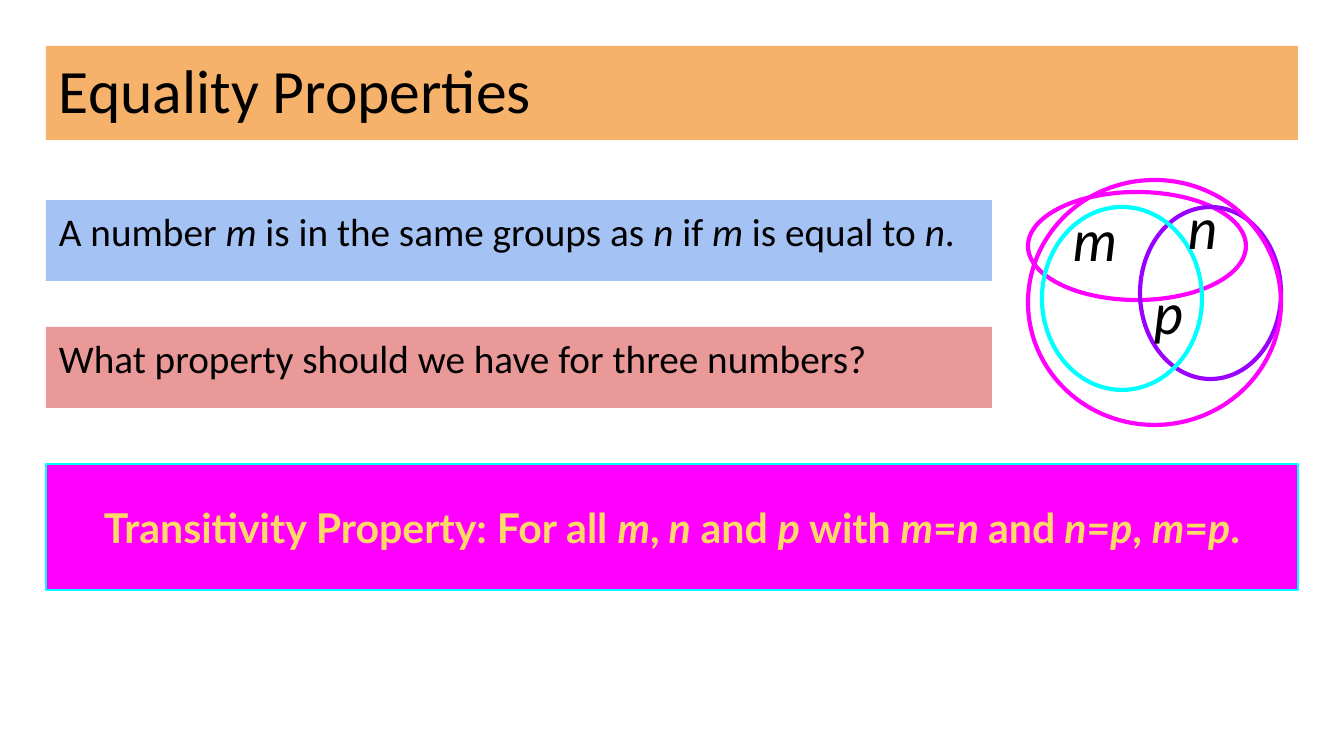
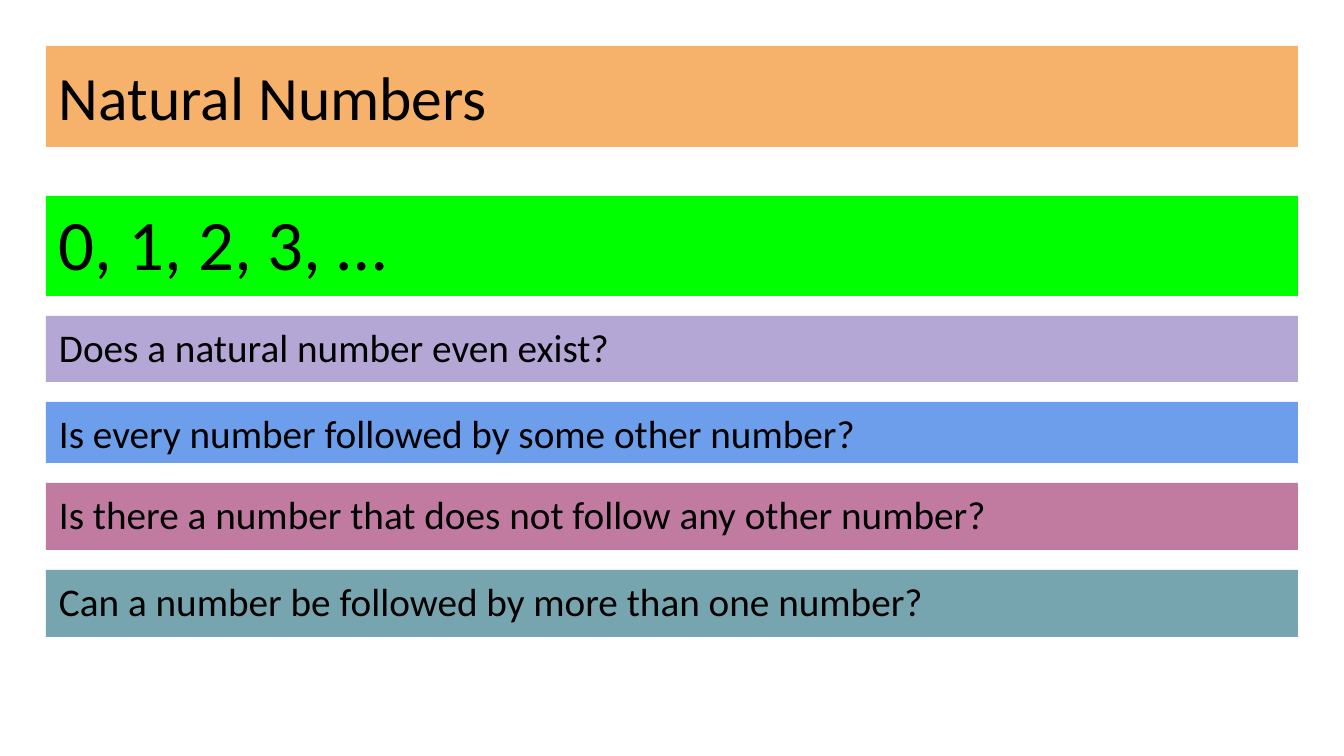
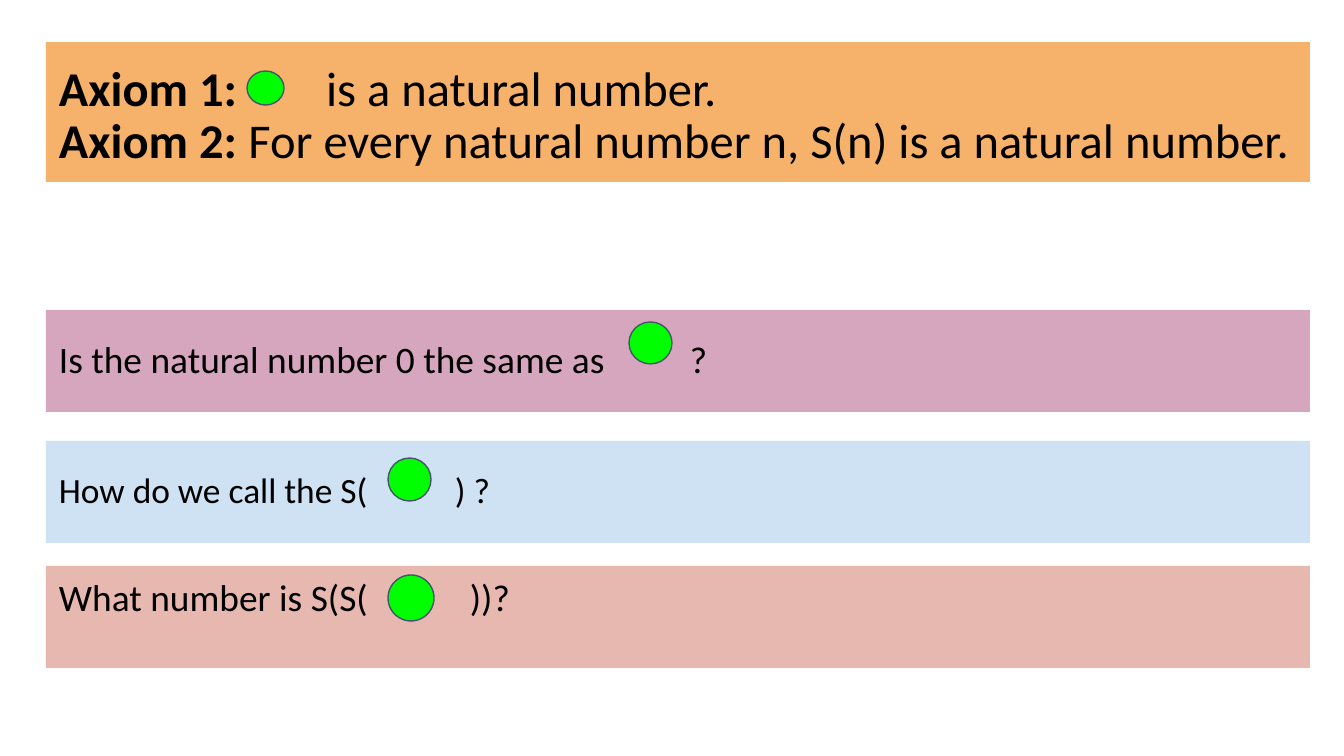
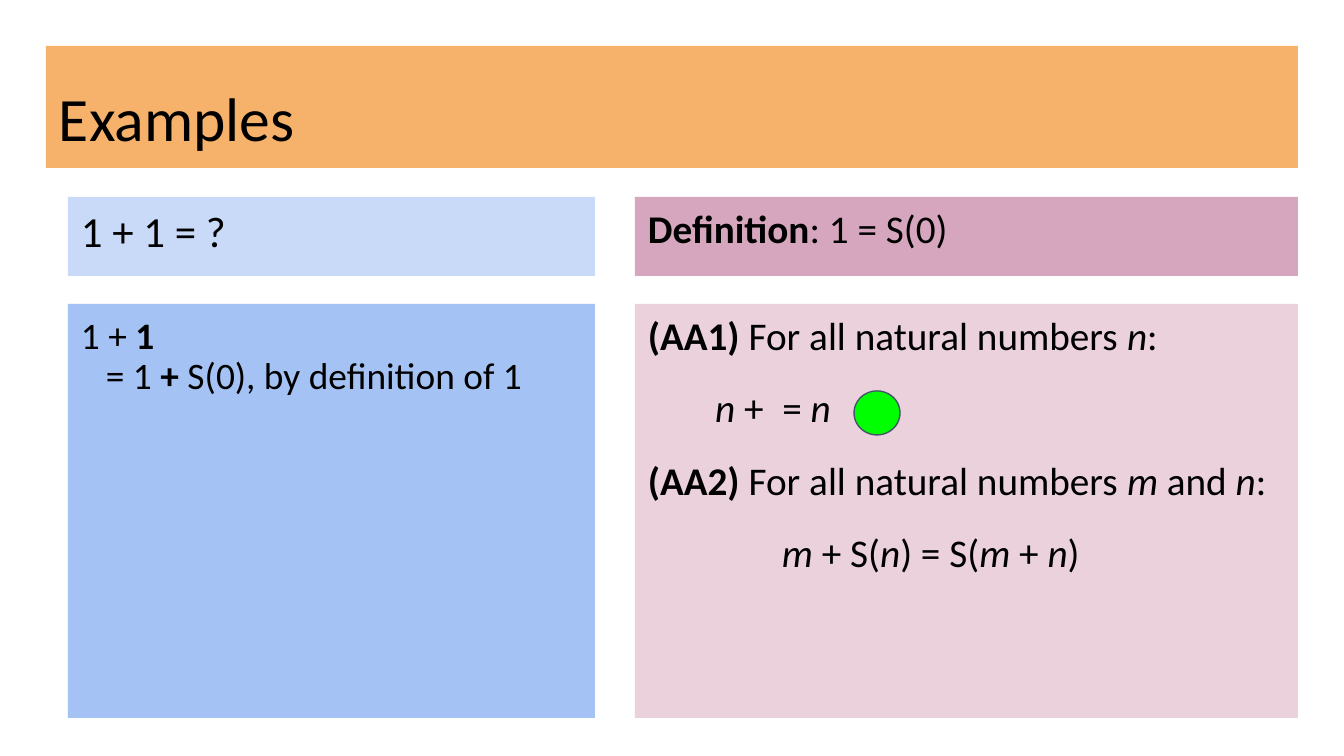
from lxml.etree import SubElement
from pptx import Presentation
from pptx.dml.color import RGBColor
from pptx.enum.shapes import MSO_SHAPE as SHAPE
from pptx.enum.text import MSO_ANCHOR as ANCHOR, MSO_AUTO_SIZE as FIT, PP_ALIGN as ALIGN
from pptx.oxml.ns import qn
from pptx.util import Pt

WIDTH, HEIGHT = 1344, 756
SCALE = 9144000 / WIDTH
INSET = 13
LEFT, FULL = 46, 1252
TITLE_SIZE = 33

COLORS = {
    "black": "000000", "orange": "F6B26B", "sky": "A4C2F4", "coral": "EA9999",
    "magenta": "FF00FF", "cyan": "00FFFF", "violet": "9900FF", "gold": "FFD966",
    "green": "00FF00", "slate": "44546A", "lavender": "B4A7D6", "blue": "6D9EEB",
    "plum": "C27BA0", "teal": "76A5AF", "mauve": "D5A6BD", "ice": "CFE2F3",
    "salmon": "E6B8AF", "mist": "C9DAF8", "blush": "EAD1DC",
}

# In texts, ^ switches bold and _ switches italic.
NUMBER_ROWS = [
    (100, "green", 38, "0, 1, 2, 3, …"),
    (66, "lavender", 21, "Does a natural number even exist?"),
    (61, "blue", 21, "Is every number followed by some other number?"),
    (67, "plum", 21, "Is there a number that does not follow any other number?"),
    (67, "teal", 21, "Can a number be followed by more than one number?"),
]
NUMBERS_TOP, NUMBERS_GAP = 196, 20


def stack_rows(rows, top, gap):
    bands = []
    for height, fill, size, text in rows:
        bands.append(dict(box=(LEFT, top, FULL, height), fill=fill, size=size, texts=[text]))
        top += height + gap
    return bands


AXIOM_WIDTH, QUESTION_HEIGHT = 1264, 102
COLUMNS = {"example": (68, 527), "rules": (635, 663)}
ROWS = {"head": (197, 79), "detail": (304, 414)}


def cell(column, row):
    (left, width), (top, height) = COLUMNS[column], ROWS[row]
    return left, top, width, height


SLIDES = [
    dict(
        title=dict(box=(LEFT, 46, FULL, 94), texts=["Equality Properties"]),
        bands=[
            dict(box=(LEFT, 200, 946, 81), fill="sky", size=21,
                 texts=["A number _m_ is in the same groups as _n_ if _m_ is equal to _n_."]),
            dict(box=(LEFT, 327, 946, 81), fill="coral", size=21,
                 texts=["What property should we have for three numbers?"]),
            dict(box=(LEFT, 464, FULL, 126), fill="magenta", line="cyan", size=22,
                 font="Lato", color="gold", spacing=1, anchor=ANCHOR.MIDDLE, align=ALIGN.CENTER,
                 texts=["^Transitivity Property: For all _m_,_ n_ and _p_ with "
                        "_m_=_n _and_ n_=_p_, _m_=_p_.^"]),
        ],
        rings=[((1028, 192, 218, 108), "magenta"), ((1140, 207, 141, 172), "violet"),
               ((1042, 207, 160, 183), "cyan"), ((1028, 180, 253, 245), "magenta")],
        letters=[("m", 1060, 192), ("n", 1175, 180), ("p", 1141, 266)],
    ),
    dict(
        title=dict(box=(LEFT, 46, FULL, 101), texts=["Natural Numbers"]),
        bands=stack_rows(NUMBER_ROWS, NUMBERS_TOP, NUMBERS_GAP),
    ),
    dict(
        title=dict(box=(LEFT, 42, AXIOM_WIDTH, 140), size=26, tabs=[267],
                   texts=["^Axiom 1:^\tis a natural number.",
                          "^Axiom 2:^ For every natural number n, S(n) is a natural number."]),
        bands=[
            dict(box=(LEFT, 310, AXIOM_WIDTH, QUESTION_HEIGHT), fill="mauve", size=20,
                 anchor=ANCHOR.MIDDLE, tabs=[631],
                 texts=["Is the natural number 0 the same as\t?"]),
            dict(box=(LEFT, 441, AXIOM_WIDTH, QUESTION_HEIGHT), fill="ice", size=19,
                 anchor=ANCHOR.MIDDLE, tabs=[396], texts=["How do we call the S(\t) ?"]),
            dict(box=(LEFT, 566, AXIOM_WIDTH, QUESTION_HEIGHT), fill="salmon", size=20,
                 tabs=[411], texts=["What number is S(S(\t))?"]),
        ],
        zeros=[(629, 322, 43, 42), (388, 458, 43, 43), (388, 575, 46, 46), (247, 71, 37, 34)],
    ),
    dict(
        title=dict(box=(LEFT, 46, FULL, 122), texts=["Examples"]),
        bands=[
            dict(box=cell("example", "head"), fill="mist", size=23, texts=["1 + 1 = ?"]),
            dict(box=cell("example", "detail"), fill="sky", size=20, indents=[0, 25],
                 texts=["1 + ^1^", "= 1 ^+^ S(0), by definition of 1"]),
            dict(box=cell("rules", "head"), fill="mauve", size=21,
                 texts=["^Definition^: 1 = S(0)"]),
            dict(box=cell("rules", "detail"), fill="blush", size=21, before=16,
                 tabs=[143, 262], indents=[0, 0, 0, 134],
                 texts=["^(AA1)^ For all natural numbers _n_:", "\t_n_ +\t= _n_",
                        "^(AA2)^ For all natural numbers _m_ and _n_:",
                        "_m_ + S(_n_) = S(_m_ + _n_)"]),
        ],
        zeros=[(854, 391, 46, 44)],
    ),
]


def px(length):
    return round(length * SCALE)


def rgb(name):
    return RGBColor.from_string(COLORS[name])


def place(shape, box):
    shape.left, shape.top, shape.width, shape.height = map(px, box)


def paint(shape, fill=None, line=None, weight=0.75):
    if fill:
        shape.fill.solid()
        shape.fill.fore_color.rgb = rgb(fill)
    else:
        shape.fill.background()
    if line:
        shape.line.color.rgb = rgb(line)
        shape.line.width = Pt(weight)
    else:
        shape.line.fill.background()


def write(shape, texts, size, font="Calibri", color="black", anchor=ANCHOR.TOP,
          align=ALIGN.LEFT, spacing=0.9, before=0, tabs=(), indents=()):
    frame = shape.text_frame
    frame.word_wrap = True
    frame.auto_size = FIT.NONE
    frame.vertical_anchor = anchor
    frame.margin_left = frame.margin_right = px(INSET)
    frame.margin_top = frame.margin_bottom = px(INSET)
    for index, text in enumerate(texts):
        paragraph = frame.add_paragraph() if index else frame.paragraphs[0]
        paragraph.alignment = align
        paragraph.line_spacing = spacing
        paragraph.space_before = Pt(before if index else 0)
        properties = paragraph._p.get_or_add_pPr()
        if indents:
            properties.set("marL", str(px(indents[index])))
            properties.set("indent", "0")
        if tabs:
            stops = SubElement(properties, qn("a:tabLst"))
            for stop in tabs:
                SubElement(stops, qn("a:tab"), pos=str(px(stop)), algn="l")
        for bold, chunk in enumerate(text.split("^")):
            for italic, piece in enumerate(chunk.split("_")):
                if piece:
                    run = paragraph.add_run()
                    run.text = piece
                    run.font.name = font
                    run.font.size = Pt(size)
                    run.font.color.rgb = rgb(color)
                    run.font.bold = bold % 2 == 1
                    run.font.italic = italic % 2 == 1


def add_title(slide, box, texts, size=TITLE_SIZE, tabs=()):
    title = slide.shapes.title
    place(title, box)
    paint(title, "orange")
    write(title, texts, size, anchor=ANCHOR.BOTTOM, tabs=tabs)


def add_figure(slide, kind, box, **look):
    figure = slide.shapes.add_shape(kind, *map(px, box))
    figure.shadow.inherit = False
    paint(figure, **look)
    return figure


def add_band(slide, box, fill, line=None, **text):
    write(add_figure(slide, SHAPE.RECTANGLE, box, fill=fill, line=line), **text)


def add_letter(slide, letter, left, top):
    label = slide.shapes.add_textbox(*map(px, (left, top, 70, 97)))
    write(label, [f"_{letter}_"], 30, font="Lato", spacing=1)


def main():
    deck = Presentation()
    deck.slide_width, deck.slide_height = px(WIDTH), px(HEIGHT)
    for content in SLIDES:
        slide = deck.slides.add_slide(deck.slide_layouts[5])
        add_title(slide, **content["title"])
        for band in content["bands"]:
            add_band(slide, **band)
        for box, color in content.get("rings", []):
            add_figure(slide, SHAPE.OVAL, box, line=color, weight=2.25)
        for letter in content.get("letters", []):
            add_letter(slide, *letter)
        for box in content.get("zeros", []):
            add_figure(slide, SHAPE.OVAL, box, fill="green", line="slate")
    deck.save("out.pptx")


if __name__ == "__main__":
    main()
